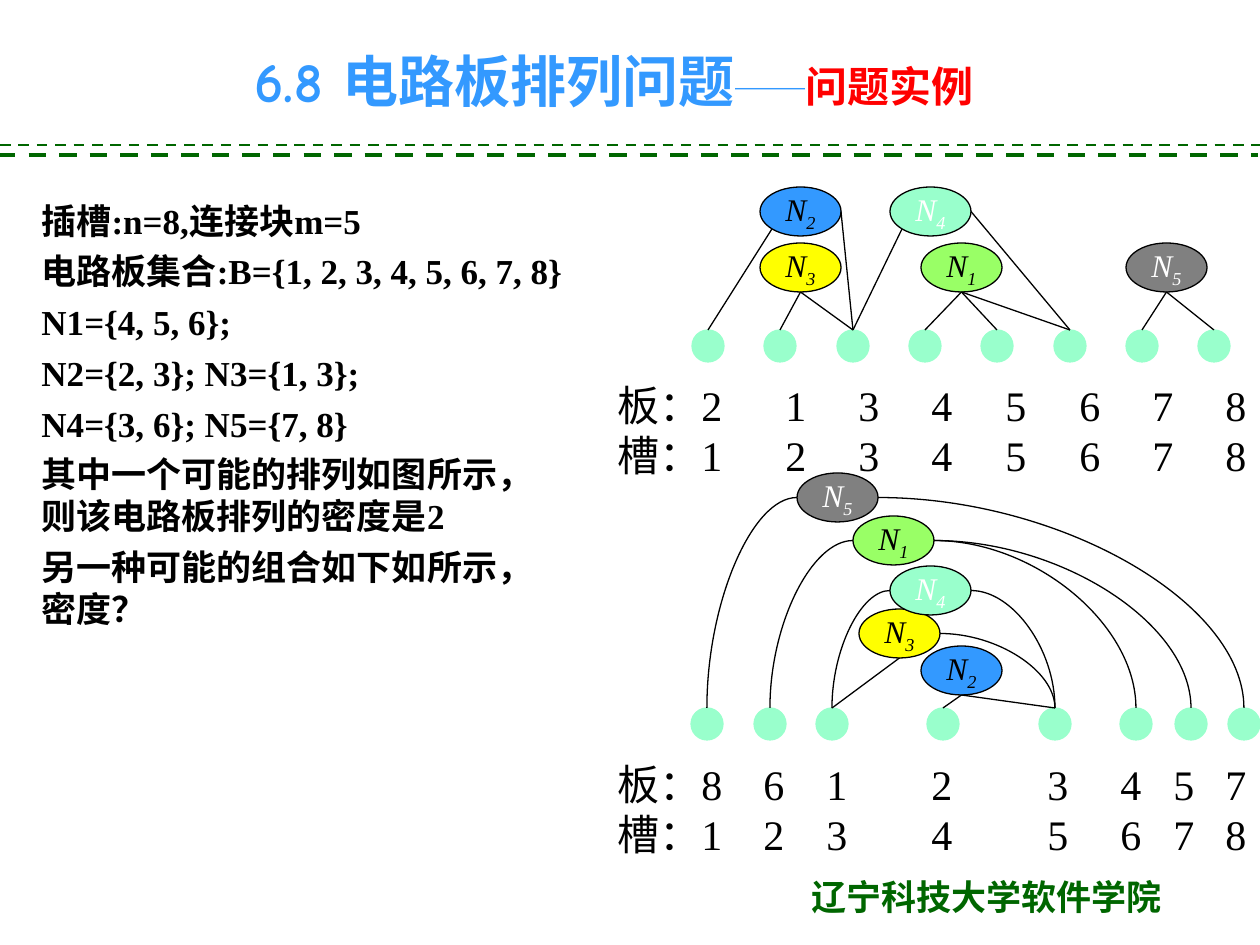
from lxml.etree import SubElement
from pptx import Presentation
from pptx.dml.color import RGBColor
from pptx.enum.dml import MSO_LINE
from pptx.enum.shapes import MSO_CONNECTOR as CXN, MSO_SHAPE
from pptx.enum.text import MSO_ANCHOR, MSO_AUTO_SIZE, PP_ALIGN
from pptx.oxml.ns import qn
from pptx.util import Pt

PX = 7257.14
SERIF = "Times New Roman"
BLACK, WHITE, GREEN, BLUE, MINT = "000000", "FFFFFF", "006600", "3399FF", "99FFCC"

TITLE = [
    ("6.8 电路板排列问题", "Comic Neue", 32, BLUE),
    ("──", "Arial", 20, BLUE),
    ("问题实例", "Comic Neue", 24, "FF0000"),
]
FOOTER = "辽宁科技大学软件学院"
BODY = [
    "插槽:n=8,连接块m=5",
    "电路板集合:B={1, 2, 3, 4, 5, 6, 7, 8}",
    "N1={4, 5, 6};",
    "N2={2, 3}; N3={1, 3};",
    "N4={3, 6}; N5={7, 8}",
    "其中一个可能的排列如图所示，则该电路板排列的密度是2",
    "另一种可能的组合如下如所示，密度？",
]
RULES = [(0, 145, 1.5), (-2, 155, 2.5)]

NET_COLORS = {
    "1": ("99FF66", BLACK),
    "2": (BLUE, BLACK),
    "3": ("FFFF00", BLACK),
    "4": (MINT, WHITE),
    "5": ("808080", WHITE),
}
NET_W, NET_H, DOT = 81, 49, 32
SITES = {"left": (0, 0.5), "right": (1, 0.5), "bottom": (0.5, 1), "lower left": (0.15, 0.85)}
LABEL_X, LABEL_W, LABEL_H, INSET = 605, 655, 113, 13

FIGURES = [
    {
        "nets": {"2": (760, 187), "3": (760, 243), "4": (890, 187),
                 "1": (921, 243), "5": (1126, 243)},
        "dots": [round(692 + 72.3 * i) for i in range(8)],
        "dot_y": 330,
        "straight": [("2", "lower left", 1), ("2", "right", 3), ("3", "bottom", 2),
                     ("3", "bottom", 3), ("4", "lower left", 3), ("4", "right", 6),
                     ("1", "bottom", 4), ("1", "bottom", 5), ("1", "bottom", 6),
                     ("5", "bottom", 7), ("5", "bottom", 8)],
        "curved": [],
        "boards": "21345678",
        "columns": [round(712 + 73.5 * i) for i in range(8)],
        "label_y": 373,
    },
    {
        "nets": {"2": (921, 646), "3": (859, 609), "4": (890, 566),
                 "1": (853, 516), "5": (797, 473)},
        "dots": [691, 754, 816, 927, 1039, 1120, 1175, 1228],
        "dot_y": 708,
        "straight": [("2", "bottom", 5), ("2", "bottom", 4), ("3", "bottom", 3)],
        "curved": [("5", "right", 8), ("5", "left", 1), ("1", "left", 2),
                   ("1", "right", 7), ("1", "right", 6), ("4", "left", 3),
                   ("4", "right", 5), ("3", "right", 5)],
        "boards": "86123457",
        "columns": [712, 764, 827, 932, 1048, 1121, 1174, 1226],
        "label_y": 752,
    },
]


def px(*values):
    return [round(v * PX) for v in values]


def rgb(value):
    return RGBColor.from_string(value)


def add_run(p, text, size, color, font=SERIF, bold=False, italic=False):
    r = p.add_run()
    r.text = text
    f = r.font
    f.name, f.size, f.bold, f.italic = font, Pt(size), bold, italic
    f.color.rgb = rgb(color)
    return r


def add_text(slide, box, lines, size, color=BLACK, bold=False, before=0, tabs=()):
    tf = slide.shapes.add_textbox(*px(*box)).text_frame
    tf.word_wrap = True
    for i, line in enumerate(lines):
        p = tf.paragraphs[0] if i == 0 else tf.add_paragraph()
        if tabs:
            tab_list = SubElement(p._p.get_or_add_pPr(), qn("a:tabLst"))
            for x in tabs:
                SubElement(tab_list, qn("a:tab"), pos=str(px(x)[0]), algn="l")
        if i:
            p.space_before = Pt(before)
        add_run(p, line, size, color, bold=bold)
    return tf


def add_oval(slide, x, y, w, h, fill, line):
    sp = slide.shapes.add_shape(MSO_SHAPE.OVAL, *px(x, y, w, h))
    sp.shadow.inherit = False
    sp.fill.solid()
    sp.fill.fore_color.rgb = rgb(fill)
    sp.line.color.rgb = rgb(line)
    sp.line.width = Pt(0.75)
    return sp


def add_net(slide, name, x, y):
    fill, color = NET_COLORS[name]
    tf = add_oval(slide, x, y, NET_W, NET_H, fill, BLACK).text_frame
    tf.word_wrap = False
    tf.vertical_anchor = MSO_ANCHOR.MIDDLE
    p = tf.paragraphs[0]
    p.alignment = PP_ALIGN.CENTER
    add_run(p, "N", 18, color, italic=True)
    sub = add_run(p, name, 18, color, italic=True)
    sub._r.get_or_add_rPr().set("baseline", "-25000")


def add_line(slide, ends, color=BLACK, width=0.75, kind=CXN.STRAIGHT):
    cxn = slide.shapes.add_connector(kind, *px(*ends))
    cxn.line.color.rgb = rgb(color)
    cxn.line.width = Pt(width)
    sppr = cxn._element.spPr
    SubElement(sppr, qn("a:effectLst"))
    if kind == CXN.CURVE:
        sppr.find(qn("a:prstGeom")).set("prst", "curvedConnector2")
    return cxn


def add_figure(slide, fig):
    for name, (x, y) in fig["nets"].items():
        add_net(slide, name, x, y)
    dots = [add_oval(slide, x, fig["dot_y"], DOT, DOT, MINT, MINT) for x in fig["dots"]]

    columns = [x - LABEL_X - INSET for x in fig["columns"]]
    rows = ["板：" + "\t".join(fig["boards"]), "槽：" + "\t".join("12345678")]
    tf = add_text(slide, (LABEL_X, fig["label_y"], LABEL_W, LABEL_H), rows, 24,
                  tabs=columns[1:])
    tf.margin_right = 0

    for style, kind in (("straight", CXN.STRAIGHT), ("curved", CXN.CURVE)):
        for name, site, slot in fig[style]:
            x, y = fig["nets"][name]
            dx, dy = SITES[site]
            ends = (x + dx * NET_W, y + dy * NET_H,
                    fig["dots"][slot - 1] + DOT / 2, fig["dot_y"])
            cxn = add_line(slide, ends, kind=kind)
            if kind == CXN.STRAIGHT:
                cxn.end_connect(dots[slot - 1], 0)


def add_title(slide):
    sp = slide.shapes.title
    sp.left, sp.top, sp.width, sp.height = px(146, 33, 936, 94)
    tf = sp.text_frame
    tf.auto_size = MSO_AUTO_SIZE.NONE
    tf.vertical_anchor = MSO_ANCHOR.MIDDLE
    p = tf.paragraphs[0]
    p.alignment = PP_ALIGN.CENTER
    for text, font, size, color in TITLE:
        add_run(p, text, size, color, font, bold=True)


def main():
    prs = Presentation()
    prs.slide_width, prs.slide_height = px(1260, 945)
    slide = prs.slides.add_slide(prs.slide_layouts[5])
    add_title(slide)
    add_text(slide, (799, 869, 446, 55), [FOOTER], 20, GREEN, bold=True)
    for x, y, width in RULES:
        rule = add_line(slide, (x, y, x + 1260, y), GREEN, width)
        rule.line.dash_style = MSO_LINE.DASH
    add_text(slide, (29, 193, 549, 509), BODY, 20, bold=True, before=5)
    for fig in FIGURES:
        add_figure(slide, fig)
    prs.save("out.pptx")


if __name__ == "__main__":
    main()
